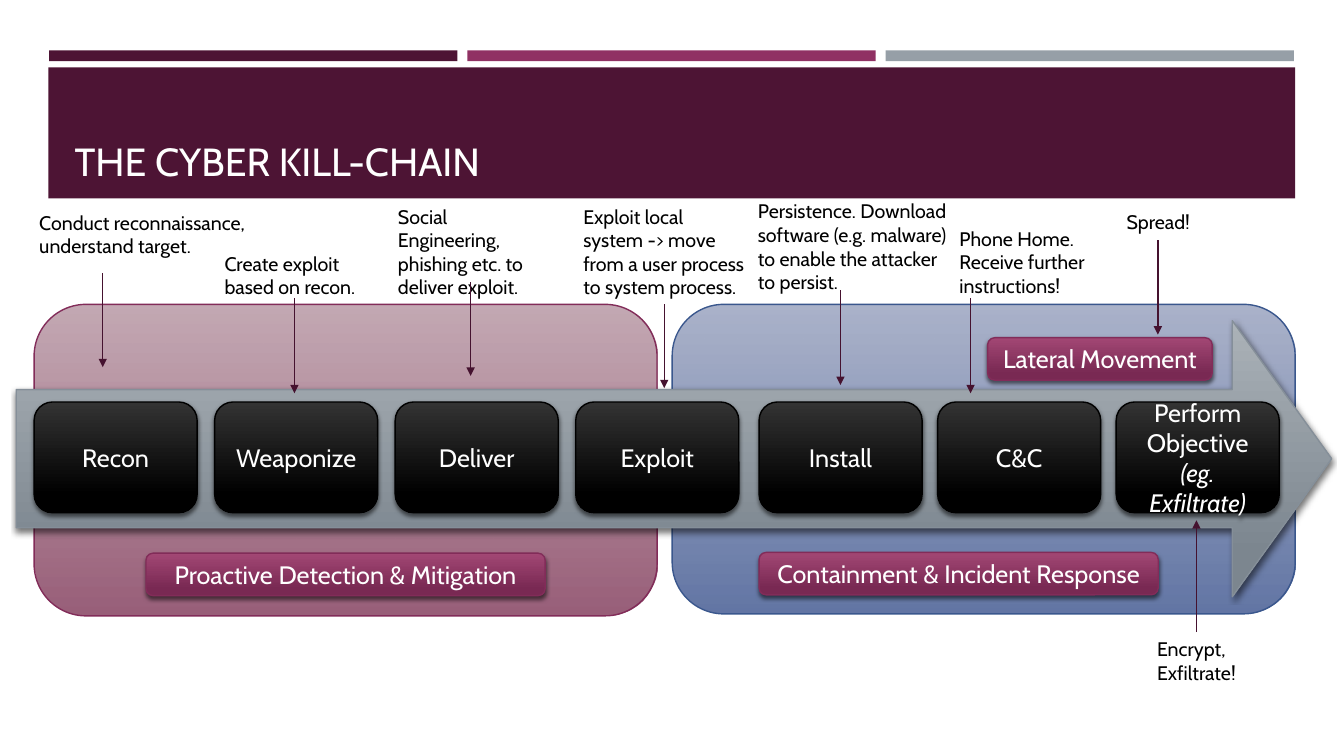
from dataclasses import dataclass
from typing import NamedTuple

from lxml.etree import SubElement
from pptx import Presentation
from pptx.dml.color import RGBColor as Rgb
from pptx.enum.shapes import MSO_CONNECTOR as Link, MSO_SHAPE as Kind
from pptx.enum.text import MSO_ANCHOR as Anchor, MSO_AUTO_SIZE as Fit, PP_ALIGN as Align
from pptx.oxml.ns import qn
from pptx.shapes.autoshape import Shape
from pptx.slide import Slide
from pptx.util import Cm, Pt


class Box(NamedTuple):
    left: float
    top: float
    width: float
    height: float

    def cm(self) -> list[Cm]:
        return [Cm(side) for side in self]


class Look(NamedTuple):
    first: str
    last: str
    line: str
    stop: float = 0.84
    alpha: int = 100
    shadow: bool = True


class Note(NamedTuple):
    text: str
    box: Box
    x: float
    start: float
    end: float


class Tag(NamedTuple):
    text: str
    box: Box


@dataclass(frozen=True)
class Theme:
    font: str = "Cabin"
    head: int = 28
    label: int = 18
    note: int = 14
    white: str = "FFFFFF"
    black: str = "000000"
    plum: str = "4D1434"
    pink: str = "903163"
    grey: str = "969FA7"
    link: str = "45122F"
    blue: Look = Look("A1AAC4", "6376A5", "3A578D", 1, 90, False)
    rose: Look = Look("BD9FAB", "995F79", "822C59", 1, 90, False)
    arrow: Look = Look("ABB2B8", "7C868F", "858F99")
    step: Look = Look("333333", "000000", "000000")
    tag: Look = Look("A24774", "792953", "822C59")


THEME = Theme()
STEP_TOP, STEP_WIDE, STEP_HIGH = 10.13, 4.11, 2.79
STEPS = [
    (0.86, 4.55, ["Recon", "Weaponize", "Deliver", "Exploit"]),
    (19.13, 4.5, ["Install", "C&C", "Perform Objective "]),
]
TAGS = [
    Tag("Lateral Movement", Box(24.89, 8.51, 5.66, 1.07)),
    Tag("Proactive Detection & Mitigation", Box(3.68, 13.94, 10.06, 1.07)),
    Tag("Containment & Incident Response", Box(19.13, 13.92, 10.06, 1.07)),
]
NOTES = [
    Note("Conduct reconnaissance, understand target.",
         Box(0.74, 5.18, 5.72, 1.45), 2.59, 6.88, 9.25),
    Note("Create exploit based on recon.",
         Box(5.41, 6.22, 4.55, 1.45), 7.42, 7.52, 9.91),
    Note("Social Engineering, phishing etc. to deliver exploit.",
         Box(9.78, 5.03, 4.29, 2.06), 11.86, 7.11, 9.47),
    Note("Exploit local system -> move from a user process to system process.",
         Box(14.45, 5.03, 4.6, 2.64), 16.74, 7.67, 9.78),
    Note("Persistence. Download software (e.g. malware) to enable the attacker to persist.",
         Box(18.85, 4.9, 5.28, 2.64), 21.18, 7.32, 9.7),
    Note("Phone Home. Receive further instructions!",
         Box(23.93, 5.59, 4.27, 2.06), 24.46, 7.52, 9.91),
    Note("Encrypt, Exfiltrate!",
         Box(28.91, 15.93, 4.27, 0.86), 30.15, 15.93, 13.11),
    Note("Spread!", Box(28.14, 5.16, 4.98, 0.86), 29.18, 6.05, 8.43),
]


def style(shape: Shape, size: int, color: str) -> None:
    """Set the font of every run in the shape."""
    for para in shape.text_frame.paragraphs:
        for run in para.runs:
            run.font.name = THEME.font
            run.font.size = Pt(size)
            run.font.color.rgb = Rgb.from_string(color)


def add_bar(slide: Slide, box: Box, color: str) -> None:
    bar = slide.shapes.add_shape(Kind.RECTANGLE, *box.cm())
    bar.shadow.inherit = False
    bar.fill.solid()
    bar.fill.fore_color.rgb = Rgb.from_string(color)
    bar.line.fill.background()


def add_block(slide: Slide, kind: Kind, box: Box, look: Look) -> Shape:
    """Add a shape with a gradient running from top to bottom."""
    block = slide.shapes.add_shape(kind, *box.cm())
    block.shadow.inherit = False
    block.fill.gradient()
    block.fill.gradient_angle = 270
    stops = block.fill.gradient_stops
    for stop, place, color in zip(stops, (0, look.stop), (look.first, look.last)):
        stop.position = place
        stop.color.rgb = Rgb.from_string(color)
    block.line.color.rgb = Rgb.from_string(look.line)
    block.line.width = Pt(1)
    if look.alpha < 100:
        tint = block._element.spPr.find(".//" + qn("a:gs"))[0]
        SubElement(tint, qn("a:alpha"), val=str(look.alpha * 1000))
    if look.shadow:
        effects = block._element.spPr.find(qn("a:effectLst"))
        cast = SubElement(effects, qn("a:outerShdw"), blurRad=str(Pt(3)),
                          dist=str(Pt(2)), dir="5400000", rotWithShape="0")
        shade = SubElement(cast, qn("a:srgbClr"), val=THEME.black)
        SubElement(shade, qn("a:alpha"), val="55000")
    return block


def add_label(slide: Slide, tag: Tag, look: Look, extra: str = "") -> None:
    """Add a rounded block with centred text and an optional italic ending."""
    block = add_block(slide, Kind.ROUNDED_RECTANGLE, tag.box, look)
    frame = block.text_frame
    frame.word_wrap = True
    frame.vertical_anchor = Anchor.MIDDLE
    frame.text = tag.text
    para = frame.paragraphs[0]
    para.alignment = Align.CENTER
    if extra:
        run = para.add_run()
        run.text = extra
        run.font.italic = True
    style(block, THEME.label, THEME.white)


def add_text(slide: Slide, text: str, box: Box, size: int, color: str) -> Shape:
    area = slide.shapes.add_textbox(*box.cm())
    area.text_frame.word_wrap = True
    area.text_frame.text = text
    style(area, size, color)
    return area


def add_arrow(slide: Slide, note: Note) -> None:
    arrow = slide.shapes.add_connector(
        Link.STRAIGHT, Cm(note.x), Cm(note.start), Cm(note.x), Cm(note.end))
    arrow.line.color.rgb = Rgb.from_string(THEME.link)
    arrow.line.width = Pt(1)
    props = arrow._element.spPr
    SubElement(props.find(qn("a:ln")), qn("a:tailEnd"), type="triangle")
    SubElement(props, qn("a:effectLst"))


def main() -> None:
    deck = Presentation()
    deck.slide_width, deck.slide_height = Cm(33.87), Cm(19.05)
    slide = deck.slides.add_slide(deck.slide_layouts[6])

    for i, color in enumerate((THEME.plum, THEME.pink, THEME.grey)):
        add_bar(slide, Box(1.24 + i * 10.54, 1.27, 10.29, 0.27), color)
    add_bar(slide, Box(1.22, 1.7, 31.42, 3.3), THEME.plum)

    add_block(slide, Kind.ROUNDED_RECTANGLE, Box(16.94, 7.67, 15.7, 7.8), THEME.blue)
    add_block(slide, Kind.ROUNDED_RECTANGLE, Box(0.86, 7.67, 15.7, 7.85), THEME.rose)
    title = add_text(slide, "THE CYBER KILL-CHAIN", Box(1.63, 1.96, 30.63, 2.82),
                     THEME.head, THEME.white)
    title.text_frame.vertical_anchor = Anchor.BOTTOM

    chain = add_block(slide, Kind.RIGHT_ARROW, Box(0.41, 8.08, 33.15, 6.96), THEME.arrow)
    chain.adjustments[0], chain.adjustments[1] = 0.5, 0.36
    for left, pitch, names in STEPS:
        for i, name in enumerate(names):
            box = Box(left + i * pitch, STEP_TOP, STEP_WIDE, STEP_HIGH)
            extra = "(eg. Exfiltrate)" if name.startswith("Perform") else ""
            add_label(slide, Tag(name, box), THEME.step, extra)
    for tag in TAGS:
        add_label(slide, tag, THEME.tag)

    for note in NOTES:
        area = add_text(slide, note.text, note.box, THEME.note, THEME.black)
        area.text_frame.auto_size = Fit.SHAPE_TO_FIT_TEXT
        add_arrow(slide, note)
    deck.save("out.pptx")


if __name__ == "__main__":
    main()
